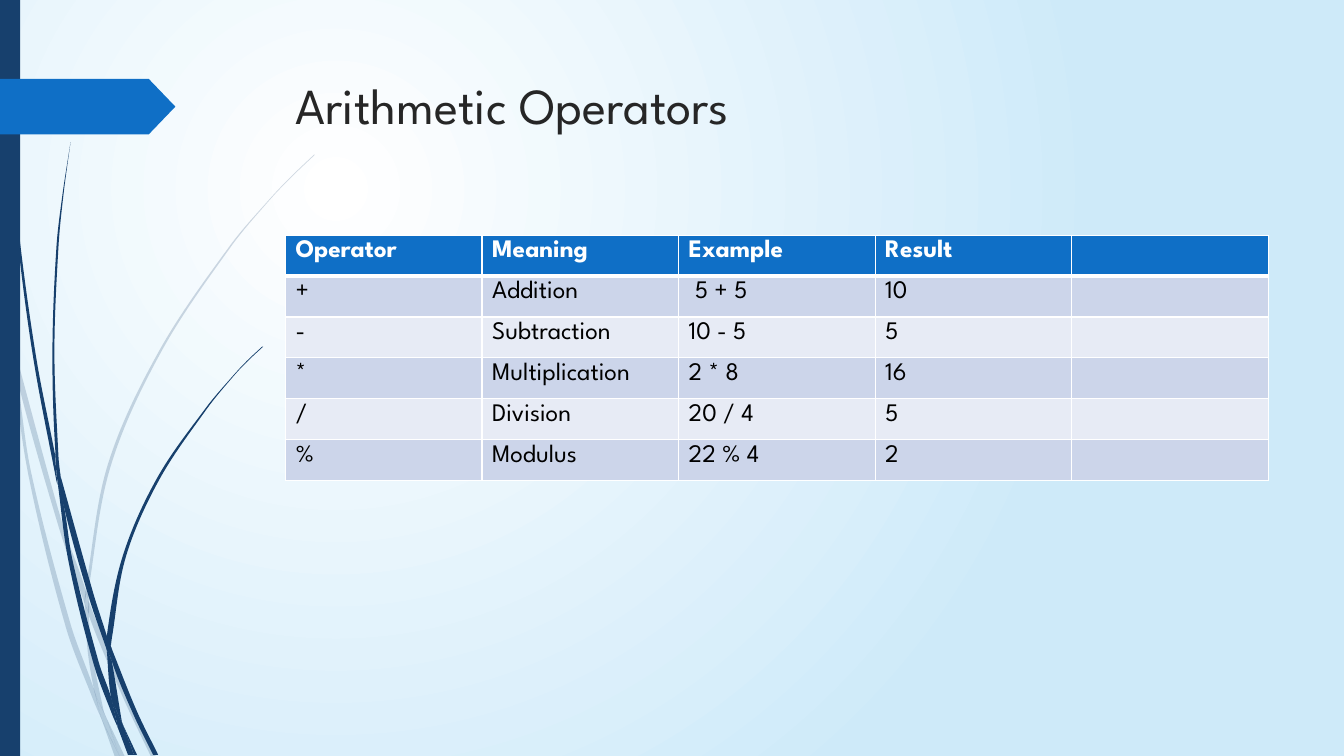
from dataclasses import dataclass
from math import hypot

from lxml.etree import SubElement
from pptx import Presentation
from pptx.dml.color import RGBColor
from pptx.enum.shapes import MSO_SHAPE
from pptx.enum.text import MSO_ANCHOR, MSO_AUTO_SIZE, PP_ALIGN
from pptx.oxml.ns import qn
from pptx.util import Pt


@dataclass(frozen=True)
class Theme:
    font: str = "League Spartan"
    title: int = 36
    body: int = 18
    navy: str = "17406D"
    blue: str = "0F6FC6"
    ink: str = "262626"
    black: str = "000000"
    white: str = "FFFFFF"
    sky: str = "CEEAF9"
    bands: tuple = ("CCD5EA", "E7EBF5")


THEME = Theme()
WIDE, HIGH = 960, 540
GRID = 0.72

ROWS = [
    ("Operator", "Meaning", "Example", "Result", ""),
    ("+", "Addition", " 5 + 5", "10", ""),
    ("-", "Subtraction", "10 - 5", "5", ""),
    ("*", "Multiplication", "2 * 8", "16", ""),
    ("/", "Division", "20 / 4", "5", ""),
    ("%", "Modulus", "22 % 4", "2", ""),
]

PALE = [
    "11,350 9,322 0,282 0,299 10,344",
    "58,522 84,599 85,586 62,520 14,345 17,376",
    "92,607 88,596 88,610 123,694 150,751 155,751 127,692",
    "119,751 124,751 105,711",
    "93,683 70,619 31,469 17,376 11,350 28,470 65,621 92,693 101,714 99,707",
    "84,599 87,646 93,683 96,692 105,711 103,706 91,646 88,610 88,608",
    "88,584 110,462 160,349 229,245 268,198 290,175 312,154 312,153 289,175 "
    "268,197 228,244 158,348 107,461 85,584 85,586 88,596",
    "101,714 114,751 119,751",
    "88,608 88,610 88,596 85,586 84,599",
    "96,692 93,683 99,707 101,714 119,751 105,711",
]
DARK = [
    "7,110 17,233 33,355 56,477 57,481 55,457 55,453 36,355 19,232 8,109 5,48 "
    "4,0 3,0 4,48",
    "88,592 106,645 106,633 106,631 93,590 60,472 64,505",
    "113,649 110,641 111,656 132,708 152,749 157,749 136,706",
    "110,691 98,657 72,556 64,505 57,477 68,557 93,659 111,708 117,722 116,717",
    "60,472 58,453 54,349 58,245 63,193 70,141 62,193 56,245 52,349 55,449",
    "133,749 136,749 122,719",
    "57,477 64,505 60,472 55,449 55,453",
    "111,633 125,552 158,476 205,406 231,374 245,359 261,344 260,344 245,358 "
    "231,373 204,405 156,474 122,551 106,631 110,641",
    "117,722 127,749 131,749",
    "106,645 110,691 116,706 122,719 121,716 111,656 109,651",
    "106,645 109,651 111,656 110,641 106,631 106,633",
    "116,706 110,691 116,717 117,722 130,749 133,749 122,719",
]


def write(frame, text, size=THEME.body, color=THEME.black, bold=False):
    para = frame.paragraphs[0]
    para.alignment = PP_ALIGN.LEFT
    run = para.add_run()
    run.text = text
    font = run.font
    font.name, font.size, font.bold = THEME.font, Pt(size), bold
    font.color.rgb = RGBColor.from_string(color)


def paint(shape, color, alpha=100):
    shape.shadow.inherit = False
    shape.line.fill.background()
    shape.fill.solid()
    shape.fill.fore_color.rgb = RGBColor.from_string(color)
    if alpha < 100:
        tone = shape.element.spPr.find(".//" + qn("a:srgbClr"))
        SubElement(tone, qn("a:alpha"), val=str(alpha * 1000))


def unit(a, b):
    dx, dy = b[0] - a[0], b[1] - a[1]
    size = hypot(dx, dy) or 1
    return dx / size, dy / size


def slope(a, b, c):
    (px, py), (qx, qy) = unit(a, b), unit(b, c)
    return unit(a, c) if px * qx + py * qy > 0.8 else None


def curves(knots):
    count = len(knots)
    slopes = [slope(knots[i - 1], knots[i], knots[(i + 1) % count])
              for i in range(count)]
    spots = []
    for i, a in enumerate(knots):
        b = knots[(i + 1) % count]
        third = hypot(b[0] - a[0], b[1] - a[1]) / 3
        (ux, uy), (vx, vy) = slopes[i] or unit(a, b), slopes[(i + 1) % count] or unit(a, b)
        spots += [(a[0] + ux * third, a[1] + uy * third),
                  (b[0] - vx * third, b[1] - vy * third), b]
    return spots


def blade(slide, box, outline, alpha):
    pairs = [pair.split(",") for pair in outline.split()]
    knots = [(box[0] + int(x) * GRID, box[1] + int(y) * GRID) for x, y in pairs]
    pen = slide.shapes.build_freeform(*map(Pt, knots[0]), scale=1.0)
    pen.add_line_segments([tuple(map(Pt, spot)) for spot in curves(knots)], close=False)
    shape = pen.convert_to_shape()
    lines = list(shape.element.iter(qn("a:lnTo")))
    track = lines[0].getparent()
    for i in range(0, len(lines), 3):
        bend = SubElement(track, qn("a:cubicBezTo"))
        for line in lines[i:i + 3]:
            bend.append(line[0])
            track.remove(line)
    SubElement(track, qn("a:close"))
    paint(shape, THEME.navy, alpha)


def backdrop(slide):
    fill = slide.background.fill
    fill.gradient()
    for stop, color in zip(fill.gradient_stops, (THEME.white, THEME.sky)):
        stop.color.rgb = RGBColor.from_string(color)
    grad = slide.element.find(".//" + qn("a:gradFill"))
    grad.remove(grad.find(qn("a:lin")))
    ring = SubElement(grad, qn("a:path"), path="circle")
    SubElement(ring, qn("a:fillToRect"), l="50000", t="50000", r="100000", b="100000")


def margin(slide, box):
    x, y, _, high = box
    for group, alpha in ((PALE, 20), (DARK, 100)):
        for outline in group:
            blade(slide, box, outline, alpha)
    bar = slide.shapes.add_shape(MSO_SHAPE.RECTANGLE, Pt(x), Pt(y), Pt(14.4), Pt(high))
    paint(bar, THEME.navy)
    tag = slide.shapes.add_shape(
        MSO_SHAPE.PENTAGON, Pt(x), Pt(y + 56.3), Pt(125.3), Pt(39.8))
    tag.adjustments[0] = 0.48
    paint(tag, THEME.blue)


def heading(slide, box, text):
    title = slide.shapes.title
    title.left, title.top, title.width, title.height = map(Pt, box)
    frame = title.text_frame
    frame.word_wrap = True
    frame.auto_size = MSO_AUTO_SIZE.NONE
    frame.vertical_anchor = MSO_ANCHOR.TOP
    write(frame, text, size=THEME.title, color=THEME.ink)


def border(cell, row):
    props = cell._tc.get_or_add_tcPr()
    widths = {"L": 1, "R": 1, "T": 3 if row == 1 else 1, "B": 3 if row == 0 else 1}
    for side, width in widths.items():
        line = SubElement(props, qn("a:ln" + side), w=str(Pt(width)))
        solid = SubElement(line, qn("a:solidFill"))
        SubElement(solid, qn("a:srgbClr"), val=THEME.white)


def grid(slide, box, rows):
    table = slide.shapes.add_table(len(rows), len(rows[0]), *map(Pt, box)).table
    for col in table.columns:
        col.width = Pt(box[2] / len(rows[0]))
    for i, row in enumerate(rows):
        table.rows[i].height = Pt(box[3] / len(rows))
        head = i == 0
        for j, text in enumerate(row):
            cell = table.cell(i, j)
            border(cell, i)
            cell.fill.solid()
            tone = THEME.blue if head else THEME.bands[(i - 1) % 2]
            cell.fill.fore_color.rgb = RGBColor.from_string(tone)
            if text:
                write(cell.text_frame, text, bold=head,
                      color=THEME.white if head else THEME.black)


def main():
    deck = Presentation()
    deck.slide_width, deck.slide_height = Pt(WIDE), Pt(HIGH)
    slide = deck.slides.add_slide(deck.slide_layouts[5])
    backdrop(slide)
    margin(slide, (0, 0, WIDE, HIGH))
    heading(slide, (204, 49, 702, 101), "Arithmetic Operators")
    grid(slide, (203.9, 168, 702, 175.2), ROWS)
    deck.save("out.pptx")


if __name__ == "__main__":
    main()
